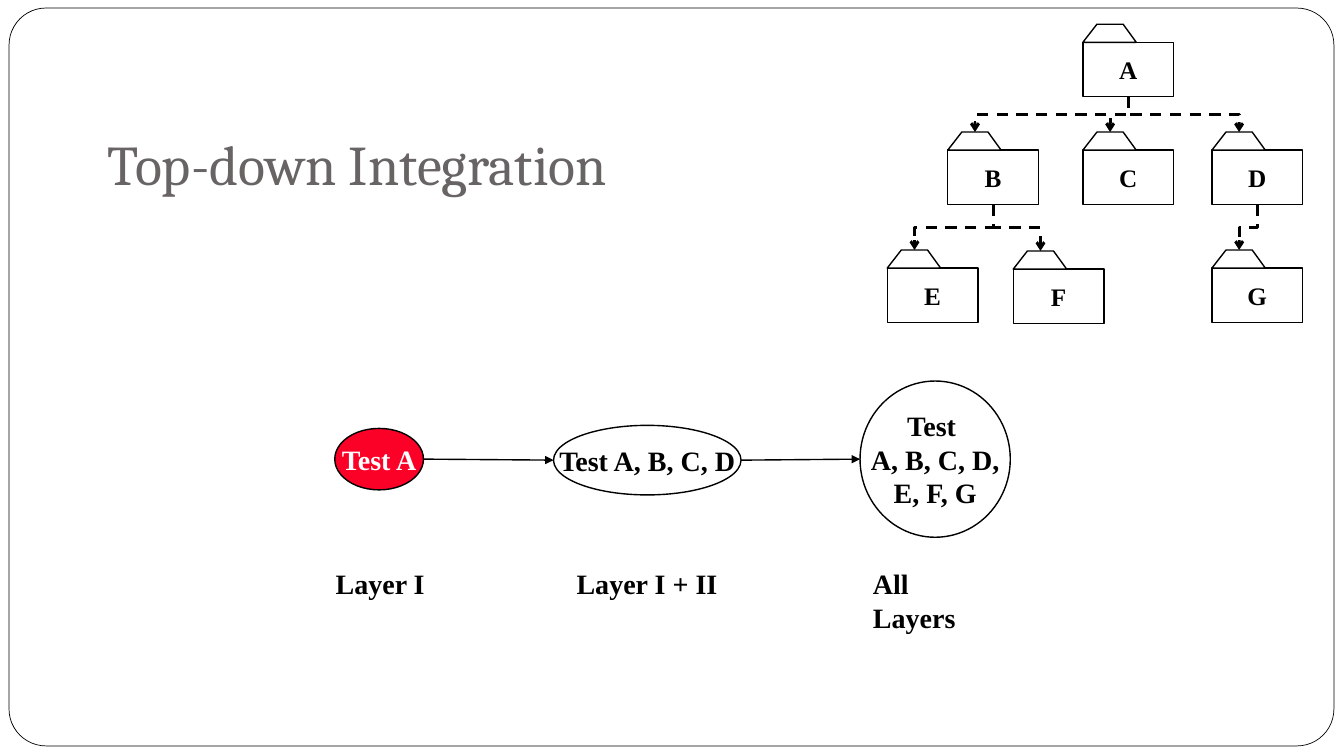
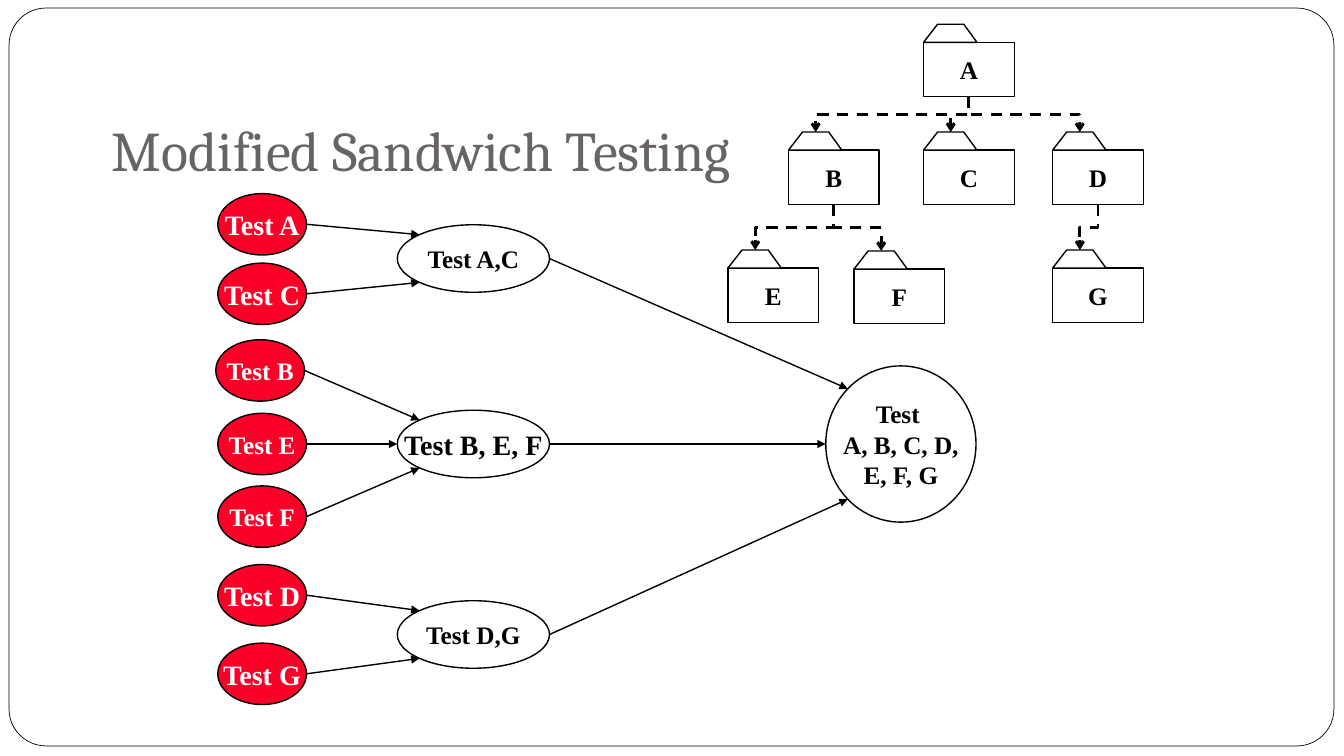
"""Build two slides on integration testing: top-down and modified sandwich."""
from math import sqrt

from lxml.etree import SubElement
from pptx import Presentation
from pptx.dml.color import RGBColor
from pptx.enum.dml import MSO_LINE
from pptx.enum.shapes import MSO_CONNECTOR as Connector, MSO_SHAPE as Shape
from pptx.enum.text import MSO_ANCHOR as Anchor, MSO_AUTO_SIZE as AutoSize, PP_ALIGN as Align
from pptx.oxml.ns import qn
from pptx.util import Pt

PX = 9144
BLACK, WHITE, RED, GREY = "000000", "FFFFFF", "FC0128", "696464"
BODY_FONT, TITLE_FONT = "Times New Roman", "Cambria"
rgb = RGBColor.from_string

FOLDER_W, FOLDER_H, TAB_H, TAB_MIDDLE = 90, 54, 18, 27
FOLDERS = {
    "A": (1074, 42), "B": (940, 149), "C": (1074, 149), "D": (1202, 149),
    "E": (880, 266), "F": (1005, 267), "G": (1202, 266),
}
CALLS = ["AB", "AC", "AD", "BE", "BF", "DG"]
ALL_TESTS = "Test \nA, B, C, D,\nE, F, G"

PAGES = [
    {
        "title": ("Top-down Integration", 97, 60),
        "folder_shift": 0,
        "tests": {
            "Test A": (332, 425, 88, 61, 20, RED),
            "Test A, B, C, D": (549, 422, 186, 69, 20, None),
            ALL_TESTS: (853, 378, 149, 155, 20, None),
        },
        "steps": {"Test A": "Test A, B, C, D", "Test A, B, C, D": ALL_TESTS},
        "labels": [("Layer I", 323, 109), ("Layer I + II", 562, 160), ("All Layers", 856, 144)],
    },
    {
        "title": ("Modified Sandwich Testing", 101, 46),
        "folder_shift": -158,
        "tests": {
            "Test A": (216, 192, 88, 61, 20, RED),
            "Test C": (216, 261, 88, 61, 20, RED),
            "Test B": (214, 337, 88, 61, 18, RED),
            "Test E": (216, 410, 88, 61, 18, RED),
            "Test F": (216, 482, 88, 61, 18, RED),
            "Test D": (216, 560, 88, 61, 20, RED),
            "Test G": (216, 638, 88, 61, 20, RED),
            "Test A,C": (394, 223, 151, 67, 18, None),
            "Test B, E, F": (394, 407, 151, 67, 20, None),
            "Test D,G": (394, 596, 151, 67, 18, None),
            ALL_TESTS: (819, 363, 149, 155, 18, None),
        },
        "steps": {
            "Test A": "Test A,C", "Test C": "Test A,C",
            "Test B": "Test B, E, F", "Test E": "Test B, E, F", "Test F": "Test B, E, F",
            "Test D": "Test D,G", "Test G": "Test D,G",
            "Test A,C": ALL_TESTS, "Test B, E, F": ALL_TESTS, "Test D,G": ALL_TESTS,
        },
        "labels": [],
    },
]


def style(shape, fill, width=1, text="", size=18, color=BLACK):
    shape.shadow.inherit = False
    if fill:
        shape.fill.solid()
        shape.fill.fore_color.rgb = rgb(fill)
    else:
        shape.fill.background()
    if width:
        shape.line.color.rgb = rgb(BLACK)
        shape.line.width = Pt(width)
    frame = shape.text_frame
    frame.text = text
    for para in frame.paragraphs:
        for span in para.runs:
            span.font.name, span.font.size, span.font.bold = BODY_FONT, Pt(size), True
            span.font.color.rgb = rgb(color)
        if width:
            para.alignment = Align.CENTER
    if width:
        frame.vertical_anchor = Anchor.MIDDLE
    frame.word_wrap = not width


def add_arrow(page, kind, start, end, width, head):
    ends = [round(value * PX) for value in (*start, *end)]
    arrow = page.shapes.add_connector(kind, *ends)
    arrow.line.color.rgb = rgb(BLACK)
    arrow.line.width = Pt(width)
    if kind == Connector.ELBOW:
        arrow.line.dash_style = MSO_LINE.DASH
    properties = arrow.element.spPr
    SubElement(properties.find(qn("a:ln")), qn("a:tailEnd"), type=head)
    SubElement(properties, qn("a:effectLst"))
    return arrow


deck = Presentation()
deck.slide_width, deck.slide_height = 1333 * PX, 750 * PX
layout = deck.slide_layouts[5]

for number, content in enumerate(PAGES):
    page = deck.slides.add_slide(layout)
    if number == 0:
        border = page.shapes.add_shape(Shape.ROUNDED_RECTANGLE, 9 * PX, 8 * PX, 1314 * PX, 732 * PX)
        border.adjustments[0] = 0.05
        style(border, WHITE, 0.5)
        layout.shapes.element.insert(2, border.element)

    text, left, top = content["title"]
    title = page.shapes.title
    title.left, title.top, title.width, title.height = left * PX, top * PX, 1132 * PX, 145 * PX
    frame = title.text_frame
    frame.text = text
    frame.auto_size = AutoSize.NONE
    frame.vertical_anchor = Anchor.BOTTOM
    frame.margin_bottom = 10 * PX
    para = frame.paragraphs[0]
    para.alignment = Align.LEFT
    font = para.runs[0].font
    font.name, font.size, font.color.rgb = TITLE_FONT, Pt(40), rgb(GREY)

    for text, (x, y, w, h, size, fill) in content["tests"].items():
        oval = page.shapes.add_shape(Shape.OVAL, x * PX, y * PX, w * PX, h * PX)
        style(oval, fill, 1, text, size, WHITE if fill else BLACK)

    for source, target in content["steps"].items():
        x, y, w, h = content["tests"][source][:4]
        start = (x + w, y + h / 2)
        x, y, w, h = content["tests"][target][:4]
        end = (x, y + h / 2)
        rise = end[1] - start[1]
        if abs(rise) > 5:
            side = 1 if rise > 0 else -1
            end = (x + w / 2 * (1 - sqrt(0.5)), y + h / 2 * (1 - side * sqrt(0.5)))
        add_arrow(page, Connector.STRAIGHT, start, end, 1, "triangle")

    for text, x, w in content["labels"]:
        label = page.shapes.add_textbox(x * PX, 557 * PX, w * PX, 43 * PX)
        style(label, None, 0, text, 20)

    folders = {name: (x + content["folder_shift"], y) for name, (x, y) in FOLDERS.items()}
    for parent, child in CALLS:
        x1, y1 = folders[parent][0] + FOLDER_W / 2, folders[parent][1] + FOLDER_H
        x2, y2 = folders[child][0] + TAB_MIDDLE, folders[child][1] - TAB_H
        middle_x, middle_y = (x1 + x2) / 2, (y1 + y2) / 2
        half_w, half_h = (y2 - y1) / 2, abs(x2 - x1) / 2
        turn = 90
        if x2 > x1:
            half_w, turn = -half_w, 270
        arrow = add_arrow(page, Connector.ELBOW, (middle_x - half_w, middle_y - half_h),
                          (middle_x + half_w, middle_y + half_h), 2, "arrow")
        arrow.element.spPr.find(qn("a:xfrm")).set("rot", str(turn * 60000))

    for name, (x, y) in folders.items():
        folder = page.shapes.add_shape(Shape.RECTANGLE, x * PX, y * PX, FOLDER_W * PX, FOLDER_H * PX)
        style(folder, WHITE, 1, name)
        outline = page.shapes.build_freeform(x, y, scale=PX)
        outline.add_line_segments([(x + 14, y - TAB_H), (x + 40, y - TAB_H), (x + 53, y)], close=True)
        style(outline.convert_to_shape(), WHITE)

deck.save("out.pptx")
